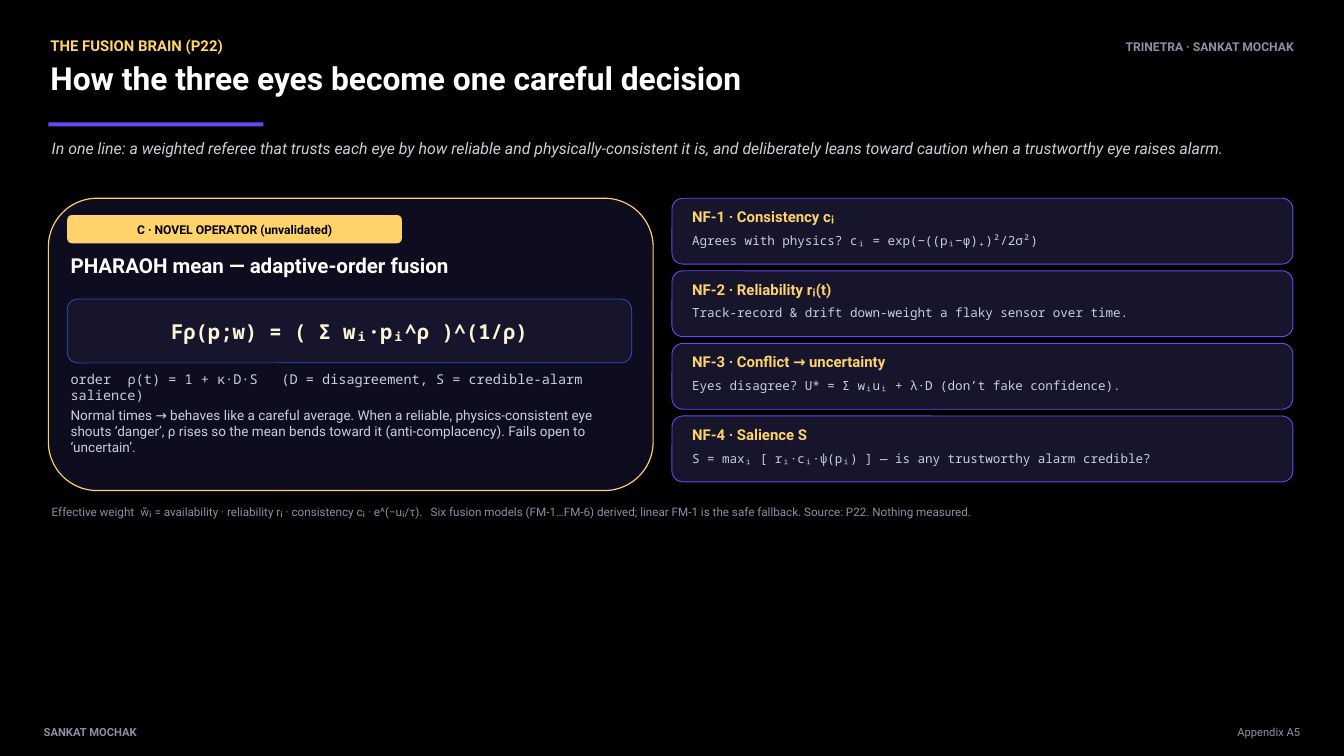
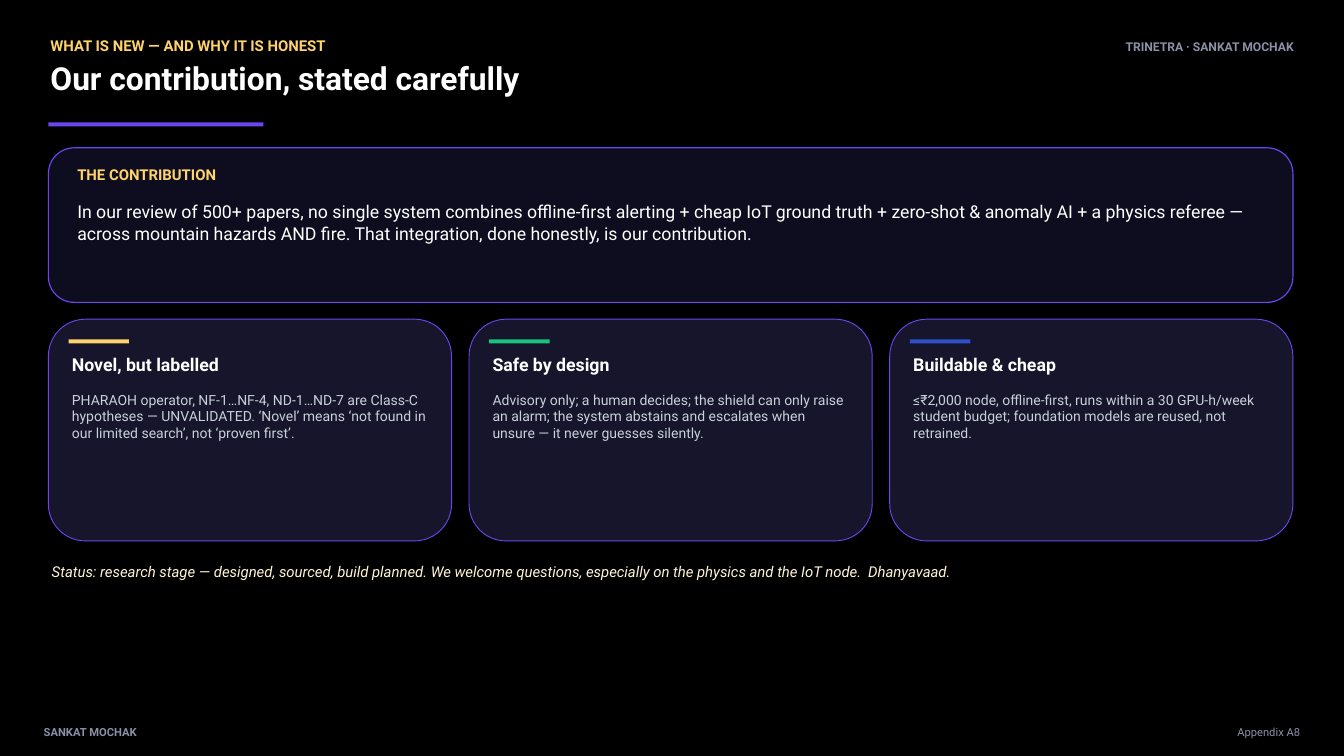
"""Build two appendix slides on the fusion operator and the contribution."""
from lxml import etree
from pptx import Presentation
from pptx.dml.color import RGBColor
from pptx.enum.shapes import MSO_SHAPE as Shape
from pptx.enum.text import MSO_ANCHOR as Anchor, MSO_AUTO_SIZE as AutoSize, PP_ALIGN as Align
from pptx.oxml.ns import qn
from pptx.util import Emu, Inches, Pt

WIDTH, HEIGHT = 20, 11.25
MARGIN, SPAN = 0.72, 18.52
SANS, MONO = "Roboto", "Noto Sans Mono"
BLACK, WHITE, NAVY, INDIGO = "000000", "FFFFFF", "0E0D1F", "16152B"
GOLD, CREAM, VIOLET, BLUE, GREEN = "FFD36B", "FFF4D6", "6A45F0", "2F4FC9", "19C37D"
SILVER, GREY = "C8D1D9", "8A90A6"

TEAM = "SANKAT MOCHAK"
BRAND = f"TRINETRA · {TEAM}"

FUSION = {
    "kicker": "THE FUSION BRAIN (P22)",
    "title": "How the three eyes become one careful decision",
    "page": "Appendix A5",
    "summary": "In one line: a weighted referee that trusts each eye by how reliable and "
               "physically-consistent it is, and deliberately leans toward caution when a "
               "trustworthy eye raises alarm.",
    "badge": "C · NOVEL OPERATOR (unvalidated)",
    "operator": "PHARAOH mean — adaptive-order fusion",
    "formula": "Fρ(p;w) = ( Σ wᵢ·pᵢ^ρ )^(1/ρ)",
    "order": "order\tρ(t) = 1 + κ·D·S\t(D = disagreement, S = credible-alarm salience)",
    "meaning": "Normal times → behaves like a careful average. When a reliable, "
               "physics-consistent eye shouts ‘danger’, ρ rises so the mean bends toward it "
               "(anti-complacency). Fails open to ‘uncertain’.",
    "factors": [
        ("NF-1 · Consistency cᵢ", "Agrees with physics? cᵢ = exp(−((pᵢ−φ)₊)²/2σ²)"),
        ("NF-2 · Reliability rᵢ(t)", "Track-record & drift down-weight a flaky sensor over time."),
        ("NF-3 · Conflict → uncertainty",
         "Eyes disagree? U* = Σ wᵢuᵢ + λ·D (don’t fake confidence)."),
        ("NF-4 · Salience S", "S = maxᵢ [ rᵢ·cᵢ·ψ(pᵢ) ] — is any trustworthy alarm credible?"),
    ],
    "source": "Effective weight\tw̃ᵢ = availability · reliability rᵢ · consistency cᵢ · e^(−uᵢ/τ)."
              "\tSix fusion models (FM-1…FM-6) derived; linear FM-1 is the safe fallback. "
              "Source: P22. Nothing measured.",
}

CONTRIBUTION = {
    "kicker": "WHAT IS NEW — AND WHY IT IS HONEST",
    "title": "Our contribution, stated carefully",
    "page": "Appendix A8",
    "heading": "THE CONTRIBUTION",
    "claim": "In our review of 500+ papers, no single system combines offline-first alerting + "
             "cheap IoT ground truth + zero-shot & anomaly AI + a physics referee — across "
             "mountain hazards AND fire. That integration, done honestly, is our contribution.",
    "pillars": [
        (GOLD, "Novel, but labelled",
         "PHARAOH operator, NF-1…NF-4, ND-1…ND-7 are Class-C hypotheses — UNVALIDATED. "
         "‘Novel’ means ‘not found in our limited search’, not ‘proven first’."),
        (GREEN, "Safe by design",
         "Advisory only; a human decides; the shield can only raise an alarm; the system "
         "abstains and escalates when unsure — it never guesses silently."),
        (BLUE, "Buildable & cheap",
         "≤₹2,000 node, offline-first, runs within a 30 GPU-h/week student budget; "
         "foundation models are reused, not retrained."),
    ],
    "status": "Status: research stage — designed, sourced, build planned. We welcome questions, "
              "especially on the physics and the IoT node.\tDhanyavaad.",
}


def color(value):
    return RGBColor.from_string(value)


def write(box, words, size, ink, bold=False, italic=False, face=SANS, align=Align.LEFT,
          anchor=Anchor.TOP, leading=None, stops=()):
    """Set the words of a box in one style, with tab stops in inches."""
    frame = box.text_frame
    frame.word_wrap, frame.auto_size = True, AutoSize.NONE
    frame.vertical_anchor = anchor
    frame.margin_left = frame.margin_right = Inches(0.05)
    frame.margin_top = frame.margin_bottom = Inches(0.02)
    paragraph = frame.paragraphs[0]
    paragraph.alignment = align
    if leading:
        paragraph.line_spacing = leading
    if stops:
        tabs = etree.SubElement(paragraph._p.get_or_add_pPr(), qn("a:tabLst"))
        for stop in stops:
            etree.SubElement(tabs, qn("a:tab"), pos=str(Inches(stop)), algn="l")
    run = paragraph.add_run()
    run.text = words
    font = run.font
    font.name, font.size, font.bold, font.italic = face, Pt(size), bold, italic
    font.color.rgb = color(ink)


def label(slide, place, words, size, ink, **style):
    write(slide.shapes.add_textbox(*map(Inches, place)), words, size, ink, **style)


def block(slide, place, fill, edge=None, weight=1, kind=Shape.ROUNDED_RECTANGLE):
    panel = slide.shapes.add_shape(kind, *map(Inches, place))
    panel.shadow.inherit = False
    panel.fill.solid()
    panel.fill.fore_color.rgb = color(fill)
    if edge:
        panel.line.color.rgb = color(edge)
        panel.line.width = Pt(weight)
    else:
        panel.line.fill.background()
    return panel


def bar(slide, left, top, width, fill):
    block(slide, (left, top, width, 0.06), fill, kind=Shape.RECTANGLE)


def start_slide(deck, content):
    """Add a slide with its title, kicker, rule and footers."""
    slide = deck.slides.add_slide(deck.slide_layouts[5])
    title = slide.shapes.title
    title.left, title.top, title.width, title.height = map(Inches, (0.7, 0.86, 17.5, 0.95))
    write(title, content["title"], 34, WHITE, bold=True)
    label(slide, (0.7, 0.52, 16, 0.4), content["kicker"], 16, GOLD, bold=True)
    bar(slide, MARGIN, 1.82, 3.2, VIOLET)
    label(slide, (13.5, 0.56, 5.8, 0.4), BRAND, 13, GREY, bold=True, align=Align.RIGHT)
    label(slide, (0.6, 10.78, 6, 0.3), TEAM, 12, GREY, bold=True)
    label(slide, (13.4, 10.78, 6, 0.3), content["page"], 12, GREY, align=Align.RIGHT)
    return slide


def fusion_slide(deck, content):
    slide = start_slide(deck, content)
    label(slide, (MARGIN, 2.05, 18.5, 0.7), content["summary"], 17, SILVER, italic=True)

    top, inner, inner_width = 2.95, 1, 8.4
    block(slide, (MARGIN, top, 9, 4.35), NAVY, GOLD, 1.25)
    badge = block(slide, (inner, 3.2, 4.98, 0.42), GOLD)
    write(badge, content["badge"], 13, BLACK, bold=True, align=Align.CENTER, anchor=Anchor.MIDDLE)
    label(slide, (inner, 3.75, inner_width, 0.6), content["operator"], 22, WHITE, bold=True)
    formula = block(slide, (inner, 4.45, inner_width, 0.95), INDIGO, BLUE, 0.8)
    write(formula, content["formula"], 22, CREAM, bold=True, face=MONO,
          align=Align.CENTER, anchor=Anchor.MIDDLE)
    label(slide, (inner, 5.5, inner_width, 0.5), content["order"], 14.5, SILVER, face=MONO,
          stops=(0.85, 3.14))
    label(slide, (inner, 6.05, inner_width, 1.1), content["meaning"], 14.5, SILVER, leading=0.98)

    left, card_height, gap = 10, 0.98, 0.1
    for row, (name, rule) in enumerate(content["factors"]):
        y = top + row * (card_height + gap)
        block(slide, (left, y, MARGIN + SPAN - left, card_height), INDIGO, VIOLET)
        label(slide, (left + 0.25, y + 0.12, 8.8, 0.4), name, 16, GOLD, bold=True)
        label(slide, (left + 0.25, y + 0.52, 8.8, 0.42), rule, 13.5, SILVER, face=MONO,
              leading=0.9)
    label(slide, (MARGIN, 7.5, 18.5, 0.5), content["source"], 12.5, GREY, stops=(1.32, 5.64))


def contribution_slide(deck, content):
    slide = start_slide(deck, content)
    block(slide, (MARGIN, 2.2, SPAN, 2.3), NAVY, VIOLET, 1.25)
    label(slide, (1.1, 2.45, 17.8, 0.5), content["heading"], 16, GOLD, bold=True)
    label(slide, (1.1, 2.95, 17.8, 1.4), content["claim"], 19, WHITE, leading=1.05)

    top, gap, pad = 4.75, 0.26, 0.3
    count = len(content["pillars"])
    width = (SPAN - gap * (count - 1)) / count
    for column, (accent, name, detail) in enumerate(content["pillars"]):
        x = MARGIN + column * (width + gap)
        block(slide, (x, top, width, 3.3), INDIGO, VIOLET)
        bar(slide, x + pad, top + pad, 0.9, accent)
        label(slide, (x + pad, top + 0.5, width - 2 * pad, 0.5), name, 19, WHITE, bold=True)
        label(slide, (x + pad, top + 1.05, width - 2 * pad, 2), detail, 15, SILVER)
    label(slide, (MARGIN, 8.35, 18.5, 0.6), content["status"], 16, CREAM, italic=True,
          stops=(12.15,))


def main():
    deck = Presentation()
    deck.slide_width, deck.slide_height = Emu(Inches(WIDTH)), Emu(Inches(HEIGHT))
    backdrop = deck.slide_master.background.fill
    backdrop.solid()
    backdrop.fore_color.rgb = color(BLACK)
    fusion_slide(deck, FUSION)
    contribution_slide(deck, CONTRIBUTION)
    deck.save("out.pptx")


if __name__ == "__main__":
    main()
